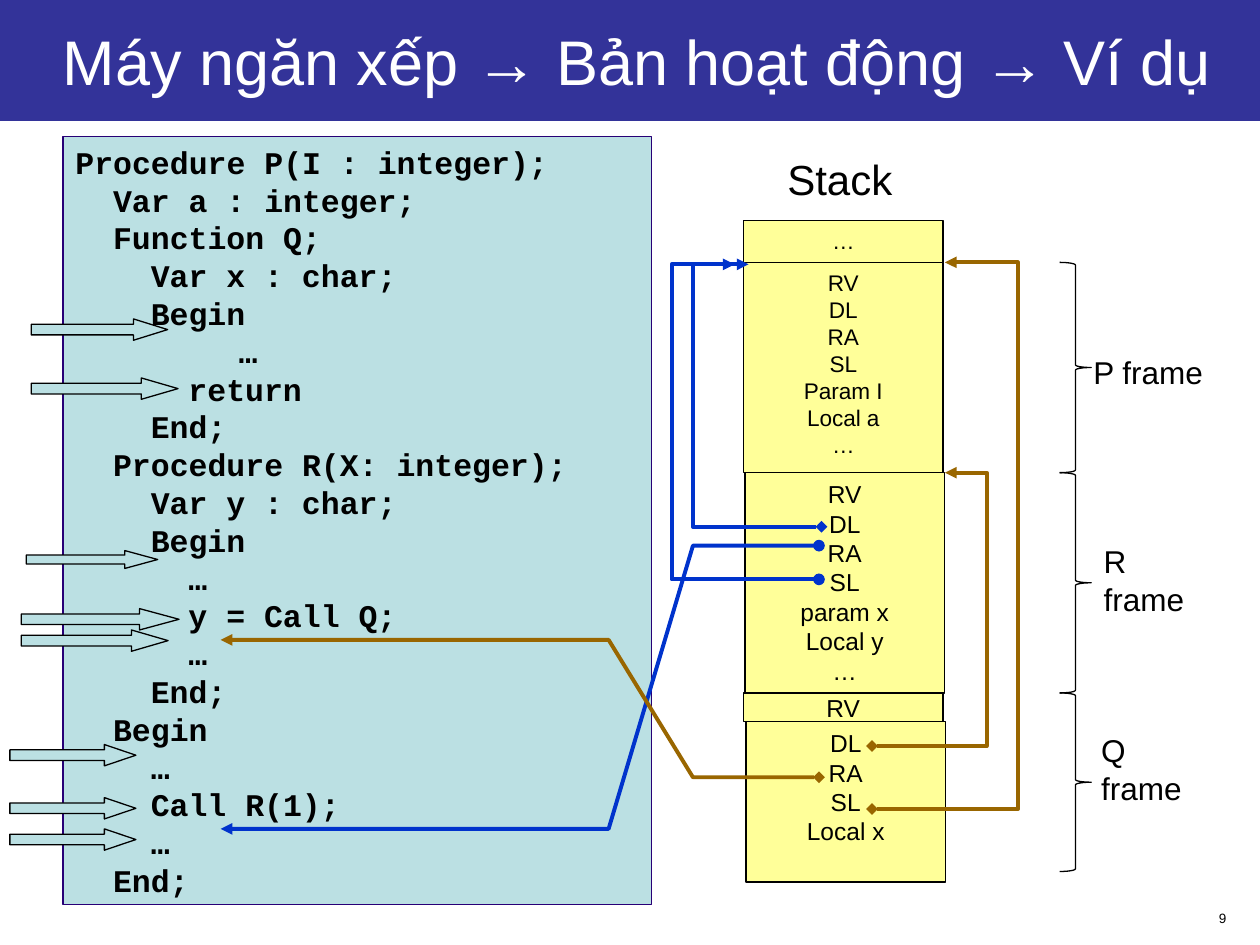
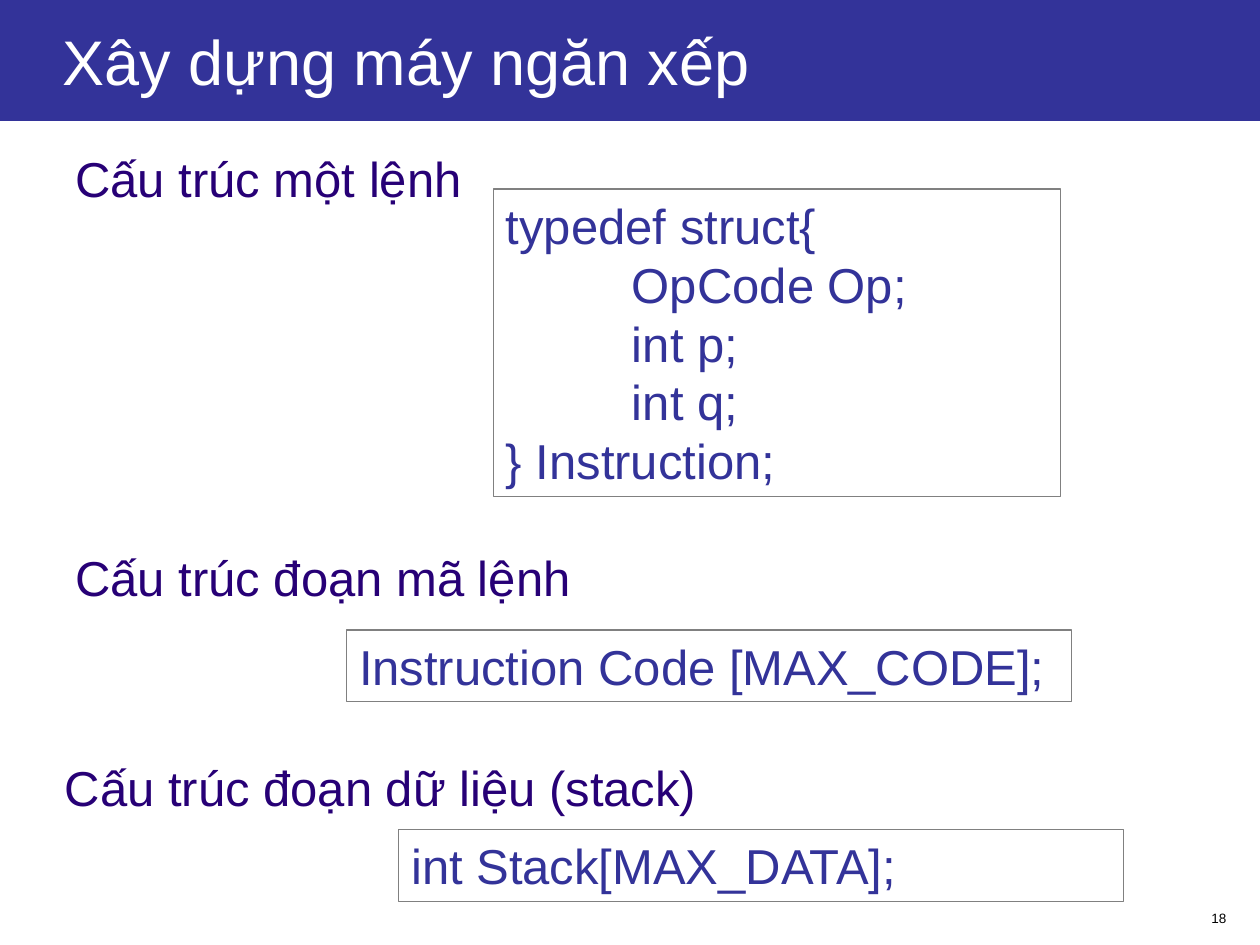
import dataclasses

import pptx
import pptx.dml.color
import pptx.enum.shapes
import pptx.enum.text
import pptx.oxml
import pptx.oxml.ns
import pptx.util

Cm = pptx.util.Cm
SHAPE = pptx.enum.shapes.MSO_SHAPE
ALIGN = pptx.enum.text.PP_ALIGN
ANCHOR = pptx.enum.text.MSO_ANCHOR


@dataclasses.dataclass(frozen=True)
class Theme:
    """Colours, fonts and type sizes of the deck."""
    band: str = "333399"
    white: str = "FFFFFF"
    black: str = "000000"
    heading: str = "270076"
    panel: str = "BBE0E3"
    cell: str = "FFFF99"
    grey: str = "808080"
    blue: str = "0033CC"
    brown: str = "996600"
    sans: str = "Arial"
    mono: str = "Courier New"
    title: float = 36
    body: float = 28
    caption: float = 24
    label: float = 18
    frame: float = 14
    small_frame: float = 12.9
    page: float = 7.7
    thin: float = 0.75
    thick: float = 2.25


T = Theme()
WIDTH, HEIGHT = 25.4, 19.05
INDENT = 0.76

CODE = [
    (0, "Procedure P(I : integer);"),
    (1, "Var a : integer;"),
    (1, "Function Q;"),
    (2, "Var x : char;"),
    (2, "Begin"),
    (4.33, "…"),
    (3, "return"),
    (2, "End;"),
    (1, "Procedure R(X: integer);"),
    (2, "Var y : char;"),
    (2, "Begin"),
    (3, "…"),
    (3, "y = Call Q;"),
    (3, "…"),
    (2, "End;"),
    (1, "Begin"),
    (2, "…"),
    (2, "Call R(1);"),
    (2, "…"),
    (1, "End;"),
]
STEP_ARROWS = [
    (-1.07, 12.26, 2.54, 0.43),
    (-1.07, 13.33, 2.54, 0.43),
    (-0.74, 8.35, 2.65, 0.36),
    (-0.84, 9.52, 3.18, 0.43),
    (-0.64, 3.68, 2.75, 0.43),
    (-0.64, 4.87, 2.96, 0.43),
    (-0.84, 9.95, 2.96, 0.43),
    (-1.07, 13.96, 2.54, 0.43),
]
CELLS = [
    (0, 0, 0.84, T.small_frame, ["…"]),
    (0, 0.84, 5.08, T.small_frame,
     ["RV", "DL", "RA", "SL", "Param I", "Local a", "…"]),
    (0.03, 5.08, 9.52, T.frame,
     ["RV", "DL", "RA", "SL", "param x", "Local y", "…"]),
    (0.05, 10.1, 13.33, T.frame, ["DL", "RA", "SL", "Local x"]),
    (0, 9.52, 10.1, T.frame, ["RV"]),
]
FRAMES = [
    ("P frame", 0.84, 5.08, 6.8, 2.54),
    ("R frame", 5.08, 9.52, 7.01, 6.35),
    ("Q frame", 9.52, 13.12, 6.96, 10.16),
]
WIRES = [
    (T.blue, "diamond", [(1.57, 6.17), (-1.02, 6.17), (-1.02, 0.88), (0.1, 0.88)]),
    (T.blue, "oval", [(1.52, 7.23), (-1.45, 7.23), (-1.45, 0.88), (-0.18, 0.88)]),
    (T.blue, "oval", [(1.52, 6.55), (-1.02, 6.55), (-2.72, 12.26), (-10.54, 12.26)]),
    (T.brown, "diamond", [(1.52, 11.22), (-1.02, 11.22), (-2.72, 8.45), (-10.54, 8.45)]),
    (T.brown, "diamond", [(2.59, 10.59), (4.9, 10.59), (4.9, 5.08), (4.06, 5.08)]),
    (T.brown, "diamond", [(2.59, 11.86), (5.53, 11.86), (5.53, 0.84), (4.06, 0.84)]),
]


def rgb(value):
    """Return a colour object for a hex string."""
    return pptx.dml.color.RGBColor.from_string(value)


def paint(sp, fill=None, line=None, weight=T.thin):
    """Set the fill and outline of a shape, either of which may be absent."""
    sp.shadow.inherit = False
    if fill:
        sp.fill.solid()
        sp.fill.fore_color.rgb = rgb(fill)
    else:
        sp.fill.background()
    if line:
        sp.line.color.rgb = rgb(line)
        sp.line.width = pptx.util.Pt(weight)
    else:
        sp.line.fill.background()


def write(sp, lines, size, color=T.black, font=T.sans, bold=False,
          align=ALIGN.LEFT, anchor=ANCHOR.TOP, wrap=True, pad=0.13):
    """Fill a shape with (indent, text) lines in one style."""
    tf = sp.text_frame
    tf.word_wrap = wrap
    tf.vertical_anchor = anchor
    tf.margin_left = tf.margin_right = Cm(0.25)
    tf.margin_top = tf.margin_bottom = Cm(pad)
    tf.text = "\n".join(text for _, text in lines)
    for p, (indent, _) in zip(tf.paragraphs, lines):
        p.alignment = align
        if indent:
            p._p.get_or_add_pPr().set("marL", str(Cm(indent)))
        for r in p.runs:
            r.font.name = font
            r.font.size = pptx.util.Pt(size)
            r.font.bold = bold
            r.font.color.rgb = rgb(color)
    return tf


def add_shape(s, kind, x, y, w, h, **style):
    """Add a painted preset shape."""
    sp = s.shapes.add_shape(kind, Cm(x), Cm(y), Cm(w), Cm(h))
    paint(sp, **style)
    return sp


def add_text(s, x, y, w, h, text, size, **style):
    """Add a one-line text box."""
    sp = s.shapes.add_textbox(Cm(x), Cm(y), Cm(w), Cm(h))
    return write(sp, [(0, text)], size, **style)


def add_base(prs, title, number):
    """Add a slide with its title band and page number."""
    s = prs.slides.add_slide(prs.slide_layouts[6])
    band = add_shape(s, SHAPE.RECTANGLE, 0, 0, WIDTH, 2.44, fill=T.band)
    tf = write(band, [(0, title)], T.title, T.white, anchor=ANCHOR.MIDDLE)
    tf.margin_left = Cm(1.27)
    add_text(s, 19.69, 18.21, 5.28, 0.61, number, T.page, align=ALIGN.RIGHT)
    return s


def add_code_panel(s, x, y, w, h):
    """Add the program listing and the arrows that step through it."""
    panel = add_shape(s, SHAPE.RECTANGLE, x, y, w, h, fill=T.panel, line=T.heading)
    write(panel, [(level * INDENT, text) for level, text in CODE],
          T.label, font=T.mono, bold=True)
    for dx, dy, length, height in STEP_ARROWS:
        arrow = add_shape(s, SHAPE.RIGHT_ARROW, x + dx, y + dy, length, height,
                          fill=T.panel, line=T.black)
        arrow.adjustments[1] = length / 4 / height


def add_wire(s, points, color, head):
    """Add an open bent line with a marker at its start and an arrow at its end."""
    start, *rest = [(Cm(px), Cm(py)) for px, py in points]
    builder = s.shapes.build_freeform(*start)
    builder.add_line_segments(rest, close=False)
    sp = builder.convert_to_shape()
    paint(sp, line=color, weight=T.thick)
    ln = sp.line._get_or_add_ln()
    for tag, kind in (("a:headEnd", head), ("a:tailEnd", "triangle")):
        end = pptx.oxml.parse_xml(f'<{tag} {pptx.oxml.ns.nsdecls("a")} type="{kind}"/>')
        ln.append(end)


def add_stack(s, x, y, w):
    """Add the stack cells, their frame braces and the links between them."""
    add_text(s, x + 0.25, y - 1.48, 3.38, 1.27, "Stack", T.caption, align=ALIGN.CENTER)
    for dx, top, bottom, size, names in CELLS:
        cell = add_shape(s, SHAPE.RECTANGLE, x + dx, y + top, w, bottom - top,
                         fill=T.cell, line=T.black)
        pad = 0 if bottom - top < 0.6 else 0.13
        write(cell, [(0, name) for name in names], size, align=ALIGN.CENTER, pad=pad)
    for name, top, bottom, label_x, label_y in FRAMES:
        add_shape(s, SHAPE.RIGHT_BRACE, x + 6.37, y + top, 0.64, bottom - top, line=T.black)
        add_text(s, x + label_x, y + label_y, 2.75, 1.02, name, T.label, wrap=False)
    for color, head, points in WIRES:
        add_wire(s, [(x + px, y + py) for px, py in points], color, head)


def add_heading(s, x, y, w, text):
    """Add a section heading."""
    tf = add_text(s, x, y, w, 1.65, text, T.body, color=T.heading, pad=0)
    tf.paragraphs[0].line_spacing = 1.2
    tf.paragraphs[0].space_before = pptx.util.Pt(7)


def add_declaration(s, x, y, w, h, lines):
    """Add an outlined box holding a declaration."""
    box = add_shape(s, SHAPE.RECTANGLE, x, y, w, h, line=T.grey)
    write(box, lines, T.body, T.band)


def build_example(prs):
    """Build the activation record example."""
    s = add_base(prs, "Máy ngăn xếp → Bản hoạt động → Ví dụ", "9")
    add_code_panel(s, 1.27, 2.75, 11.86, 15.49)
    add_stack(s, 14.99, 4.45, 4.02)


def build_structures(prs):
    """Build the slide of data structures."""
    s = add_base(prs, "Xây dựng máy ngăn xếp", "18")
    add_heading(s, 1.27, 2.75, 8.71, "Cấu trúc một lệnh")
    add_declaration(s, 9.95, 3.81, 11.43, 6.2, [
        (0, "typedef struct{"),
        (2.54, "OpCode Op;"),
        (2.54, "int p;"),
        (2.54, "int q;"),
        (0, "} Instruction;"),
    ])
    add_heading(s, 1.27, 10.8, 13.34, "Cấu trúc đoạn mã lệnh")
    add_declaration(s, 6.99, 12.7, 14.61, 1.45, [(0, "Instruction Code [MAX_CODE];")])
    add_heading(s, 1.06, 15.03, 13.34, "Cấu trúc đoạn dữ liệu (stack)")
    add_declaration(s, 8.04, 16.72, 14.61, 1.45, [(0, "int Stack[MAX_DATA];")])


def main():
    """Build and save the deck."""
    prs = pptx.Presentation()
    prs.slide_width, prs.slide_height = Cm(WIDTH), Cm(HEIGHT)
    build_example(prs)
    build_structures(prs)
    prs.save("out.pptx")


if __name__ == "__main__":
    main()
